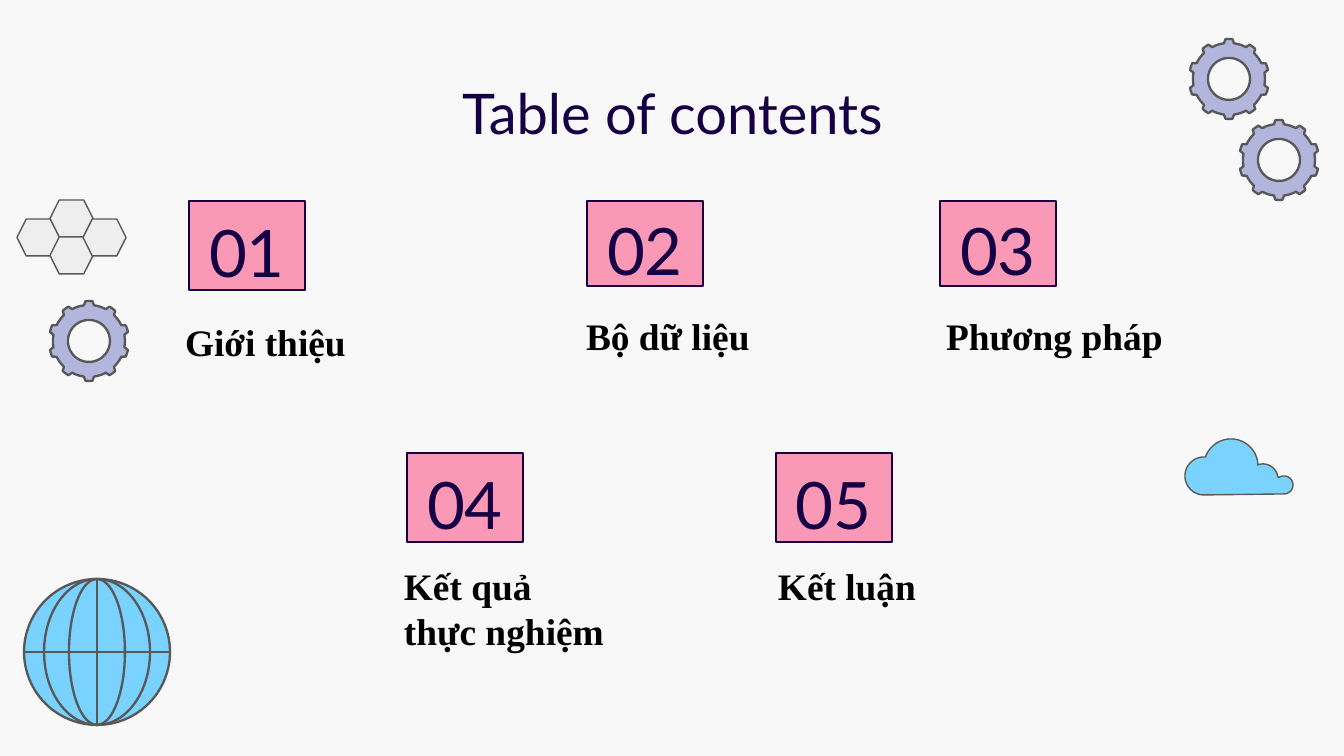
from math import cos, radians, sin

from lxml.etree import SubElement
from pptx import Presentation
from pptx.dml.color import RGBColor
from pptx.enum.shapes import MSO_CONNECTOR, MSO_SHAPE
from pptx.enum.text import MSO_ANCHOR, PP_ALIGN
from pptx.oxml.ns import qn
from pptx.util import Emu, Pt

NAVY = RGBColor(0x15, 0x00, 0x45)
PINK = RGBColor(0xF9, 0x99, 0xB5)
LILAC = RGBColor(0xB2, 0xB6, 0xDC)
SKY = RGBColor(0x7A, 0xD3, 0xFF)
PALE = RGBColor(0xEE, 0xEE, 0xEE)
GREY = RGBColor(0x58, 0x58, 0x58)
BLACK = RGBColor(0x00, 0x00, 0x00)
PAPER = RGBColor(0xF8, 0xF8, 0xF8)

TITLE = ("Table of contents", (106, 66, 1133, 85))
SECTIONS = [
    ("01", (189, 201, 116, 89), "Giới thiệu", (172, 312, 199, 59)),
    ("02", (587, 201, 116, 85), "Bộ dữ liệu", (573, 306, 199, 59)),
    ("03", (940, 201, 116, 85), "Phương pháp", (933, 306, 257, 59)),
    ("04", (407, 453, 116, 89), "Kết quả thực nghiệm", (391, 556, 234, 103)),
    ("05", (776, 453, 116, 89), "Kết luận", (765, 556, 234, 59)),
]
GEARS = [(1229, 79), (1279, 160), (89, 341)]
GEAR_TEETH, GEAR_TIP, GEAR_ROOT, GEAR_HOLE = 10, 40, 36, 21
HEXAGONS = [(17, 219), (50, 200), (50, 237), (83, 219)]
GLOBE_X, GLOBE_Y, GLOBE_R = 97, 652, 73
MERIDIANS = [53, 28]
CLOUD_ARCS = [
    (1204, 476, 19, 90, 275),
    (1231, 466, 27, 200, 358),
    (1263, 479, 15, 250, 352),
    (1284, 485, 9, 235, 450),
]


def px(n):
    return Emu(round(n * 914400 / 134.4))


def style(s, fill, line, width):
    s.shadow.inherit = False
    if fill is None:
        s.fill.background()
    else:
        s.fill.solid()
        s.fill.fore_color.rgb = fill
    s.line.color.rgb = line
    s.line.width = Pt(width)


def add_preset(kind, box, fill, line=GREY, width=0.75):
    s = slide.shapes.add_shape(kind, *map(px, box))
    style(s, fill, line, width)
    return s


def add_outline(contours, fill, width):
    contours = [[(px(x), px(y)) for x, y in c] for c in contours]
    builder = slide.shapes.build_freeform(*contours[0][0], scale=1.0)
    for i, points in enumerate(contours):
        if i:
            builder.move_to(*points[0])
        builder.add_line_segments(points[1:], close=True)
    style(builder.convert_to_shape(), fill, GREY, width)


def add_line(*ends):
    s = slide.shapes.add_connector(MSO_CONNECTOR.STRAIGHT, *map(px, ends))
    s.line.color.rgb = GREY
    s.line.width = Pt(1.25)
    SubElement(s._element.spPr, qn("a:effectLst"))


def polar(x, y, r, angle):
    return x + r * cos(radians(angle)), y + r * sin(radians(angle))


def arc(x, y, r, start, end, steps=36):
    return [polar(x, y, r, start + (end - start) * i / steps) for i in range(steps + 1)]


def add_gear(x, y):
    rim = []
    for i in range(GEAR_TEETH):
        mid = 360 * i / GEAR_TEETH - 90
        rim += [polar(x, y, GEAR_ROOT, mid - 8)]
        rim += arc(x, y, GEAR_TIP, mid - 5, mid + 5, 2)
        rim += arc(x, y, GEAR_ROOT, mid + 8, mid + 28, 4)
    add_outline([rim, arc(x, y, GEAR_HOLE, 360, 0, 72)], LILAC, 1.25)


def add_globe(x, y, r):
    for half, fill in [(r, SKY)] + [(m, None) for m in MERIDIANS]:
        add_preset(MSO_SHAPE.OVAL, (x - half, y - r, 2 * half, 2 * r), fill, width=1.25)
    add_line(x, y - r, x, y + r)
    add_line(x - r, y, x + r, y)


def set_text(s, text, font, size, color, inset_y=13, bold=False, align=PP_ALIGN.LEFT):
    tf = s.text_frame
    tf.text = text
    tf.word_wrap = True
    tf.margin_left = tf.margin_right = px(13)
    tf.margin_top = tf.margin_bottom = px(inset_y)
    p = tf.paragraphs[0]
    p.alignment = align
    r = p.runs[0]
    r.font.name, r.font.size, r.font.bold = font, Pt(size), bold
    r.font.color.rgb = color
    return tf


prs = Presentation()
prs.slide_width, prs.slide_height = px(1344), px(756)
slide = prs.slides.add_slide(prs.slide_layouts[6])
slide.background.fill.solid()
slide.background.fill.fore_color.rgb = PAPER

for center in GEARS:
    add_gear(*center)
for left, top in HEXAGONS:
    s = add_preset(MSO_SHAPE.HEXAGON, (left, top, 43, 37), PALE)
    s.adjustments[0] = 0.25
add_globe(GLOBE_X, GLOBE_Y, GLOBE_R)
add_outline([[point for a in CLOUD_ARCS for point in arc(*a)]], SKY, 0.75)

title, title_box = TITLE
s = slide.shapes.add_textbox(*map(px, title_box))
set_text(s, title, "Lato", 30, NAVY, align=PP_ALIGN.CENTER)
for number, number_box, label, label_box in SECTIONS:
    s = add_preset(MSO_SHAPE.RECTANGLE, number_box, PINK, NAVY)
    tf = set_text(s, number, "Lato", 35, NAVY, align=PP_ALIGN.CENTER)
    tf.vertical_anchor = MSO_ANCHOR.MIDDLE
    tf.paragraphs[0].line_spacing = 1.15
    s = slide.shapes.add_textbox(*map(px, label_box))
    set_text(s, label, "Times New Roman", 20, BLACK, inset_y=7, bold=True)

prs.save("out.pptx")
